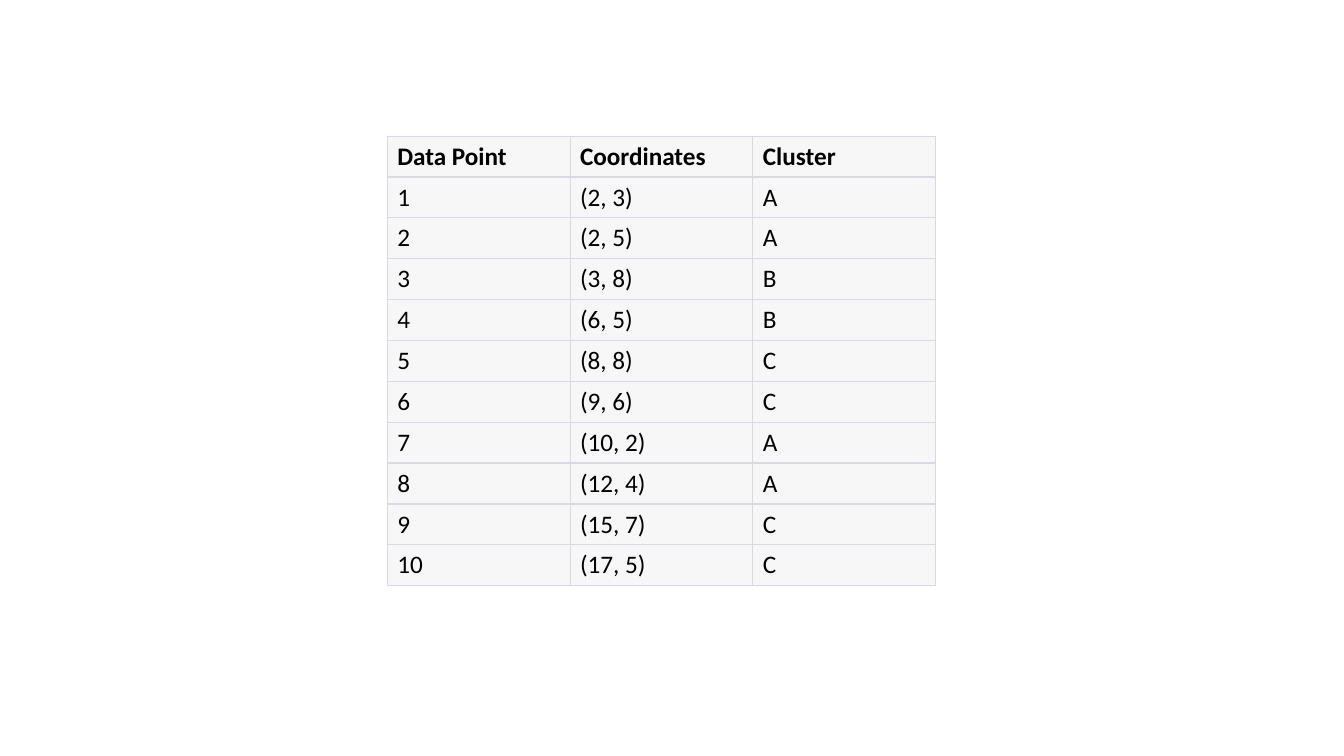
from lxml import etree
from pptx import Presentation
from pptx.dml.color import RGBColor
from pptx.enum.text import MSO_ANCHOR
from pptx.oxml.ns import qn
from pptx.util import Inches, Pt

BOTTOM, MIDDLE = MSO_ANCHOR.BOTTOM, MSO_ANCHOR.MIDDLE
CELL_FILL, BORDER, TEXT = "F7F7F8", "D9D9E3", "000000"
OUTER_WIDTH, ROW_LINE_WIDTH = Pt(0.6), Pt(1)

HEADER = ("Data Point", "Coordinates", "Cluster")
POINTS = [
    ("(2, 3)", "A"), ("(2, 5)", "A"), ("(3, 8)", "B"), ("(6, 5)", "B"),
    ("(8, 8)", "C"), ("(9, 6)", "C"), ("(10, 2)", "A"), ("(12, 4)", "A"),
    ("(15, 7)", "C"), ("(17, 5)", "C"),
]


def color(hex_code):
    return RGBColor.from_string(hex_code)


def add_border(cell, side, width):
    """Draw one cell side; call before setting the fill, which must follow it in the XML."""
    properties = cell._tc.get_or_add_tcPr()
    line = etree.SubElement(properties, qn(f"a:{side}"), w=str(width))
    fill = etree.SubElement(line, qn("a:solidFill"))
    etree.SubElement(fill, qn("a:srgbClr"), val=BORDER)


deck = Presentation()
deck.slide_width, deck.slide_height = Inches(13.33), Inches(7.5)
page = deck.slides.add_slide(deck.slide_layouts[6])

rows = [HEADER]
for number, (coordinates, cluster) in enumerate(POINTS, start=1):
    rows.append((str(number), coordinates, cluster))
last_row = len(rows) - 1

table = page.shapes.add_table(
    len(rows), len(HEADER), Inches(3.84), Inches(1.35), Inches(5.44), Inches(4.4)
).table

for row_index, row in enumerate(rows):
    is_header = row_index == 0
    border_widths = {
        "lnL": OUTER_WIDTH,
        "lnR": OUTER_WIDTH,
        "lnT": OUTER_WIDTH if is_header else ROW_LINE_WIDTH,
        "lnB": OUTER_WIDTH if row_index == last_row else ROW_LINE_WIDTH,
    }
    font_format = {"name": "Calibri", "size": Pt(18), "bold": is_header}
    for column_index, text in enumerate(row):
        cell = table.cell(row_index, column_index)
        for side, width in border_widths.items():
            add_border(cell, side, width)
        cell.fill.solid()
        cell.fill.fore_color.rgb = color(CELL_FILL)
        cell.vertical_anchor = BOTTOM if is_header else MIDDLE
        span = cell.text_frame.paragraphs[0].add_run()
        span.text = text
        for name, value in font_format.items():
            setattr(span.font, name, value)
        span.font.color.rgb = color(TEXT)

deck.save("out.pptx")
